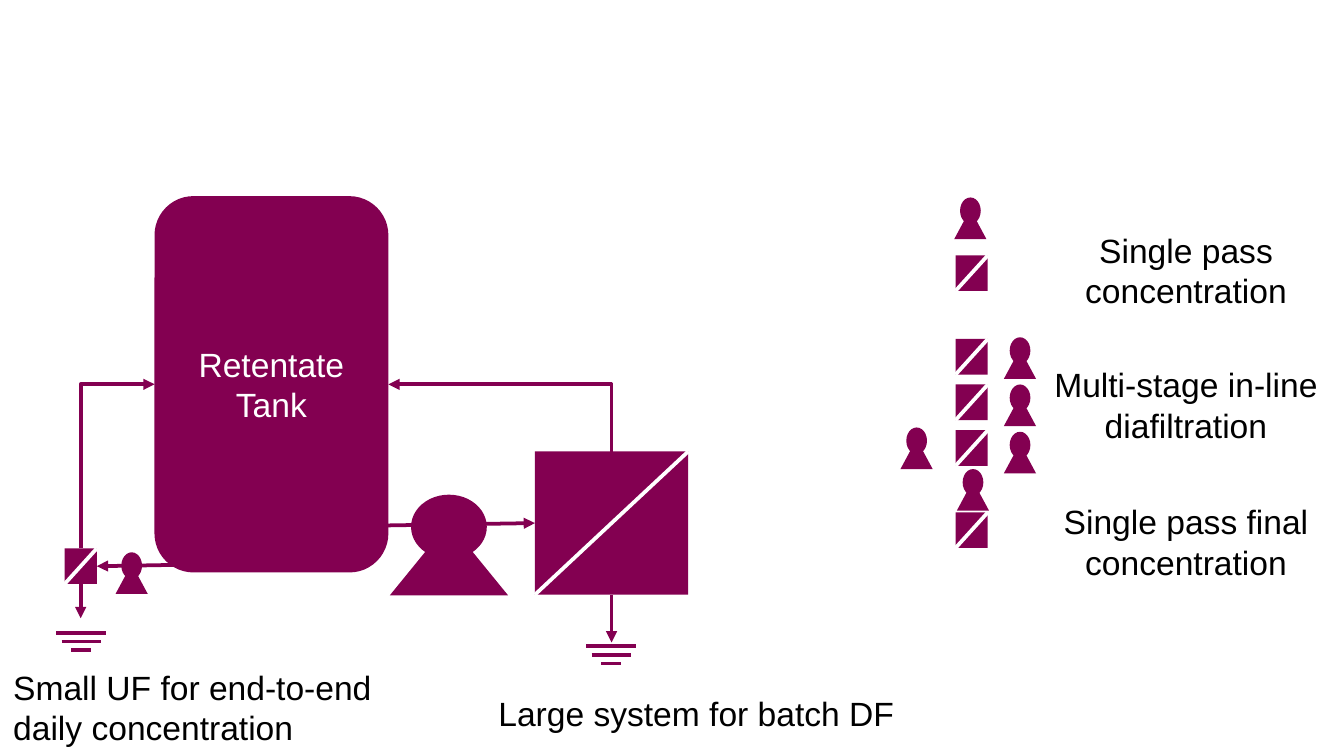
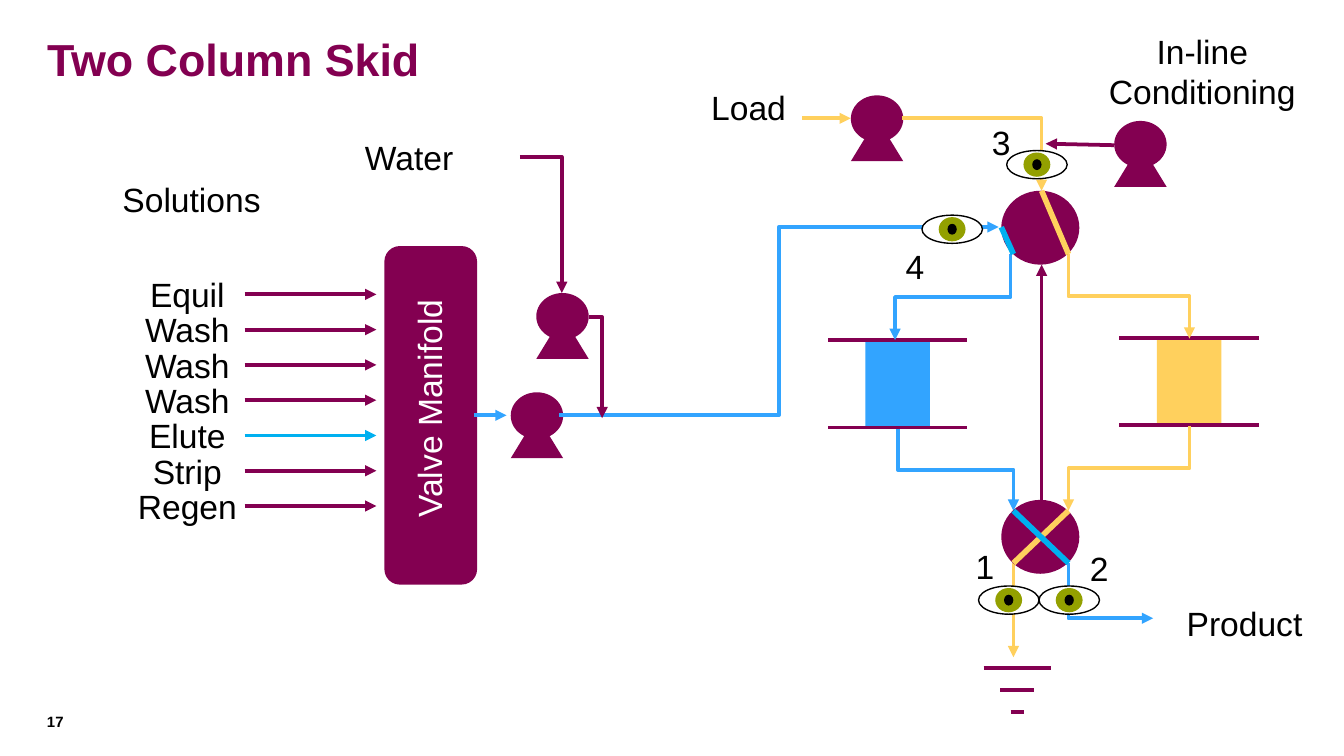
from lxml.etree import SubElement
from pptx import Presentation
from pptx.dml.color import RGBColor
from pptx.enum.shapes import MSO_CONNECTOR as LINK, MSO_SHAPE as SHAPE
from pptx.enum.text import MSO_ANCHOR as ANCHOR, PP_ALIGN as ALIGN
from pptx.oxml.ns import qn
from pptx.util import Pt

# Shared style
PLUM = RGBColor(0x83, 0x00, 0x51)
BLUE = RGBColor(0x32, 0xA4, 0xFF)
CYAN = RGBColor(0x00, 0xB0, 0xF0)
GOLD = RGBColor(0xFF, 0xD0, 0x5D)
OLIVE = RGBColor(0x93, 0xA0, 0x00)
WHITE = RGBColor(0xFF, 0xFF, 0xFF)
BLACK = RGBColor(0x00, 0x00, 0x00)
FONT = "Arial"
BODY = 18
LINE_H = 28.8

# Slide 1 content: left, top, width, height in points
TANK = ("Retentate Tank", 82.8, 105.1, 125.3, 201.6)
SMALL_PUMP = (17.3, 22.3)
SMALL_FILTER = (17.3, 19.1)
UF_FILTER = (34.6, 293.8, *SMALL_FILTER)
DF_FILTER = (286.6, 241.9, 82.1, 76.7)
UF_PUMP = (61.9, 295.9, *SMALL_PUMP)
DF_PUMP = (208.8, 265, 63.4, 54)
LINE_PUMPS = [(511.2, 105.8), (512.6, 251.3), (537.8, 180.7),
              (537.8, 206), (537.8, 231.3), (482.4, 229)]
LINE_FILTER_LEFT = 511.9
LINE_FILTER_TOPS = [136.8, 181.6, 206, 230.5, 274.5]
SKID_LABELS = [
    ("Small UF for end-to-end daily concentration", 0, 353.5, 240.5, 51.1),
    ("Large system for batch DF", 259.9, 367.9, 240.5, LINE_H),
]
STAGE_LABELS = [
    ("Single pass concentration", 119.5),
    ("Multi-stage in-line diafiltration", 191.5),
    ("Single pass final concentration", 265),
]
BATCH_PUMP_RATIO = (0.64, 0.64, 0.28)   # bulb width, bulb height, foot top
BATCH_DRAINS = [(43.5, 339.1), (327.4, 346.3)]
BATCH_DRAIN_BARS, BATCH_DRAIN_GAP = (26.6, 20.9, 10.8), 4.6

# Slide 2 content
TITLE = "Two Column Skid"
PAGE = "17"
MANIFOLD = ("Valve Manifold", 205.9, 131.8, 49.7, 181.4)
SOLUTIONS = [("Equil", PLUM), ("Wash", PLUM), ("Wash", PLUM), ("Wash", PLUM),
             ("Elute", CYAN), ("Strip", PLUM), ("Regen", PLUM)]
SOLUTION_TOP, SOLUTION_STEP = 143.3, 18.9
FLOW_LABELS = [  # text, left, top, width, height, alignment
    ("Water", 159.8, 69.8, 118.8, LINE_H, ALIGN.CENTER),
    ("Solutions", 43.2, 92.2, 118.8, LINE_H, ALIGN.CENTER),
    ("Load", 366, 43.2, 70, LINE_H, ALIGN.CENTER),
    ("In-line Conditioning", 586.1, 13, 116, 51.1, ALIGN.CENTER),
    ("Product", 628.6, 319.7, 85, LINE_H, ALIGN.LEFT),
    ("1", 515.5, 288.7, 27, LINE_H, ALIGN.LEFT),
    ("2", 576.7, 290.2, 27, LINE_H, ALIGN.LEFT),
    ("3", 524.2, 61.9, 27, LINE_H, ALIGN.LEFT),
    ("4", 478.1, 128.2, 27, LINE_H, ALIGN.LEFT),
]
SKID_PUMPS = [(455.8, 51.1), (273.6, 210.2), (287.3, 157), (596.9, 64.8)]
SKID_PUMP_SIZE = (28.1, 35.3)
SKID_PUMP_RATIO = (1, 0.71, 0.35)
COLUMNS = [(BLUE, 480.9, 182.2), (GOLD, 637, 181)]   # centre, top
COLUMN_W, COLUMN_H, PLATE_W = 34.6, 46.8, 74.6
STRAIGHT_FLOWS = [
    (GOLD, (429.8, 63.4), (455.8, 63.4)),
    (BLUE, (254.2, 222.5), (271.4, 222.5)),
    (GOLD, (542.9, 301.7), (542.9, 352.1)),
    (PLUM, (558, 267.8), (558, 141.8)),
    (PLUM, (596.9, 77.8), (560.2, 77)),
]
BENT_FLOWS = [  # colour, from, to, first leg vertical, legs
    (GOLD, (483.1, 63.4), (558, 102.2), False, 2),
    (BLUE, (541.4, 136.1), (479.5, 182.2), True, 3),
    (GOLD, (572.4, 136.1), (637.2, 181.4), True, 3),
    (BLUE, (481, 229.7), (542.9, 273.6), True, 3),
    (GOLD, (637.2, 228.2), (572.4, 273.6), True, 3),
    (BLUE, (572.4, 301.7), (617.8, 331.2), True, 2),
    (BLUE, (299.5, 222.5), (535, 121.7), False, 3),
    (PLUM, (315.4, 169.9), (322.6, 224), False, 2),
    (PLUM, (278.6, 84.2), (301, 157), False, 2),
]
VALVES = [  # top of the circle, channels
    (102.2, [(GOLD, (558, 102.2), (572.4, 136.1)),
             (CYAN, (536.4, 121.7), (542.9, 136.1))]),
    (267.8, [(GOLD, (572.4, 273.6), (542.9, 301.7)),
             (CYAN, (542.9, 273.6), (572.4, 301.7))]),
]
VALVE_LEFT, VALVE_W, VALVE_H = 536.4, 41.8, 39.6
EYES = [(540.4, 321.5), (572.8, 321.5), (555.5, 88.2), (510.1, 122.8)]
EYE_LAYERS = [(WHITE, 32.4, 15.1), (OLIVE, 14.4, 13), (BLACK, 5, 5.8)]
WASTE, WASTE_BARS, WASTE_GAP = (545, 357.8), (36, 18, 7.2), 11.9


def points(*lengths):
    return [Pt(round(length, 2)) for length in lengths]


def write(frame, text, color=BLACK, align=ALIGN.LEFT, size=BODY, bold=False):
    frame.word_wrap = True
    frame.text = text
    paragraph = frame.paragraphs[0]
    paragraph.alignment = align
    for run in paragraph.runs:
        run.font.name = FONT
        run.font.size = Pt(size)
        run.font.bold = bold
        run.font.color.rgb = color


def label(shapes, text, left, top, width, height, **style):
    box = shapes.add_textbox(*points(left, top, width, height))
    write(box.text_frame, text, **style)
    return box


def block(shapes, kind, left, top, width, height, fill=PLUM):
    shape = shapes.add_shape(kind, *points(left, top, width, height))
    shape.shadow.inherit = False
    shape.fill.solid()
    shape.fill.fore_color.rgb = fill
    shape.line.fill.background()
    return shape


def link(shapes, start, end, color=PLUM, width=2, arrow=False, kind=LINK.STRAIGHT):
    line = shapes.add_connector(kind, *points(*start, *end))
    line.line.color.rgb = color
    line.line.width = Pt(width)
    properties = line._element.spPr
    if arrow:
        SubElement(properties.find(qn("a:ln")), qn("a:tailEnd"), type="triangle")
    SubElement(properties, qn("a:effectLst"))
    return line


def elbow(shapes, color, start, end, vertical, legs):
    """Bent arrow; a vertical first leg is a quarter turn about the centre."""
    (x1, y1), (x2, y2) = start, end
    if vertical:
        cx, cy, dx, dy = (x1 + x2) / 2, (y1 + y2) / 2, x2 - x1, y2 - y1
        start = (cx - dy / 2, cy + dx / 2)
        end = (cx + dy / 2, cy - dx / 2)
    line = link(shapes, start, end, color, arrow=True, kind=LINK.ELBOW)
    properties = line._element.spPr
    properties.find(qn("a:prstGeom")).set("prst", f"bentConnector{legs}")
    if vertical:
        properties.find(qn("a:xfrm")).set("rot", "5400000")


def pump(shapes, left, top, width, height, ratio):
    bulb_w, bulb_h, foot = ratio
    parts = shapes.add_group_shape().shapes
    block(parts, SHAPE.OVAL, left + width * (1 - bulb_w) / 2, top,
          width * bulb_w, height * bulb_h)
    block(parts, SHAPE.ISOSCELES_TRIANGLE, left, top + height * foot,
          width, height * (1 - foot))


def membrane(shapes, left, top, width, height):
    parts = shapes.add_group_shape().shapes
    body = block(parts, SHAPE.RECTANGLE, left, top, width, height)
    link(parts, (left + width, top), (left, top + height), WHITE)
    return body


def drain(shapes, center, top, widths, gap):
    parts = shapes.add_group_shape().shapes
    for i, width in enumerate(widths):
        y = top + i * gap
        link(parts, (center - width / 2, y), (center + width / 2, y))


def column(shapes, color, center, top):
    parts = shapes.add_group_shape().shapes
    block(parts, SHAPE.RECTANGLE, center - COLUMN_W / 2, top, COLUMN_W, COLUMN_H, color)
    for y in (top, top + COLUMN_H):
        link(parts, (center - PLATE_W / 2, y), (center + PLATE_W / 2, y))


def valve(shapes, top, channels):
    parts = shapes.add_group_shape().shapes
    block(parts, SHAPE.OVAL, VALVE_LEFT, top, VALVE_W, VALVE_H)
    for color, start, end in channels:
        link(parts, start, end, color, width=3)


def eye(shapes, cx, cy):
    parts = shapes.add_group_shape().shapes
    for fill, width, height in EYE_LAYERS:
        layer = block(parts, SHAPE.OVAL, cx - width / 2, cy - height / 2,
                      width, height, fill)
        if fill == WHITE:
            layer.line.color.rgb = BLACK
            layer.line.width = Pt(0.75)


def build_batch_slide(deck):
    shapes = deck.slides.add_slide(deck.slide_layouts[6]).shapes

    # Tank, pumps and membranes
    name, *place = TANK
    tank = block(shapes, SHAPE.ROUNDED_RECTANGLE, *place)
    write(tank.text_frame, name, WHITE, ALIGN.CENTER)
    tank.text_frame.vertical_anchor = ANCHOR.MIDDLE
    for place in (UF_PUMP, DF_PUMP):
        pump(shapes, *place, BATCH_PUMP_RATIO)
    uf = membrane(shapes, *UF_FILTER)
    df = membrane(shapes, *DF_FILTER)

    # Flows
    for body, bottom, drain_y in ((uf, 312.9, 331.2), (df, 318.6, 344.2)):
        x = (body.left + body.width / 2) / Pt(1)
        link(shapes, (x, bottom), (x, drain_y), arrow=True).begin_connect(body, 2)
    link(shapes, (163.4, 282.2), (286.6, 280.2), arrow=True).end_connect(df, 1)
    link(shapes, (108.7, 302.4), (51.9, 303.4), arrow=True).end_connect(uf, 3)
    elbow(shapes, PLUM, (327.6, 241.9), (208.1, 205.9), True, 2)
    elbow(shapes, PLUM, (43.2, 293.8), (82.8, 205.9), True, 2)
    for center, top in BATCH_DRAINS:
        drain(shapes, center, top, BATCH_DRAIN_BARS, BATCH_DRAIN_GAP)

    # In-line process
    for top in LINE_FILTER_TOPS:
        membrane(shapes, LINE_FILTER_LEFT, top, *SMALL_FILTER)
    for left, top in LINE_PUMPS:
        pump(shapes, left, top, *SMALL_PUMP, BATCH_PUMP_RATIO)

    # Labels
    for text, *place in SKID_LABELS:
        label(shapes, text, *place)
    for text, top in STAGE_LABELS:
        label(shapes, text, 537.8, top, 195.1, 51.1, align=ALIGN.CENTER)


def build_column_slide(deck):
    shapes = deck.slides.add_slide(deck.slide_layouts[5]).shapes

    # Title and page number
    title = shapes.title
    title.left, title.top, title.width, title.height = points(18, 11.5, 690.5, 39.6)
    write(title.text_frame, TITLE, PLUM, size=24, bold=True)
    title.text_frame.vertical_anchor = ANCHOR.MIDDLE
    page = label(shapes, PAGE, 25.2, 381.6, 31, 13, size=8, bold=True).text_frame
    page.margin_left = page.margin_top = page.margin_right = page.margin_bottom = 0

    # Valve manifold and its solutions
    name, left, top, width, height = MANIFOLD
    block(shapes, SHAPE.ROUNDED_RECTANGLE, left, top, width, height)
    sign = label(shapes, name, 159.7, 204.5, 140, LINE_H, color=WHITE, align=ALIGN.CENTER)
    sign.rotation = 270
    for i, (solution, color) in enumerate(SOLUTIONS):
        top = SOLUTION_TOP + i * SOLUTION_STEP
        label(shapes, solution, 60.4, top, 80, LINE_H, align=ALIGN.CENTER)
        y = top + LINE_H / 2
        link(shapes, (131, y), (201.6, y), color, arrow=True)

    # Equipment and flows
    for place in COLUMNS:
        column(shapes, *place)
    for place in SKID_PUMPS:
        pump(shapes, *place, *SKID_PUMP_SIZE, SKID_PUMP_RATIO)
    for flow in BENT_FLOWS:
        elbow(shapes, *flow)
    for color, start, end in STRAIGHT_FLOWS:
        link(shapes, start, end, color, arrow=True)
    drain(shapes, *WASTE, WASTE_BARS, WASTE_GAP)
    for place in VALVES:
        valve(shapes, *place)
    for center in EYES:
        eye(shapes, *center)

    # Labels
    for text, *place, align in FLOW_LABELS:
        label(shapes, text, *place, align=align)


def main():
    deck = Presentation()
    deck.slide_width, deck.slide_height = points(720, 405)
    build_batch_slide(deck)
    build_column_slide(deck)
    deck.save("out.pptx")


if __name__ == "__main__":
    main()
